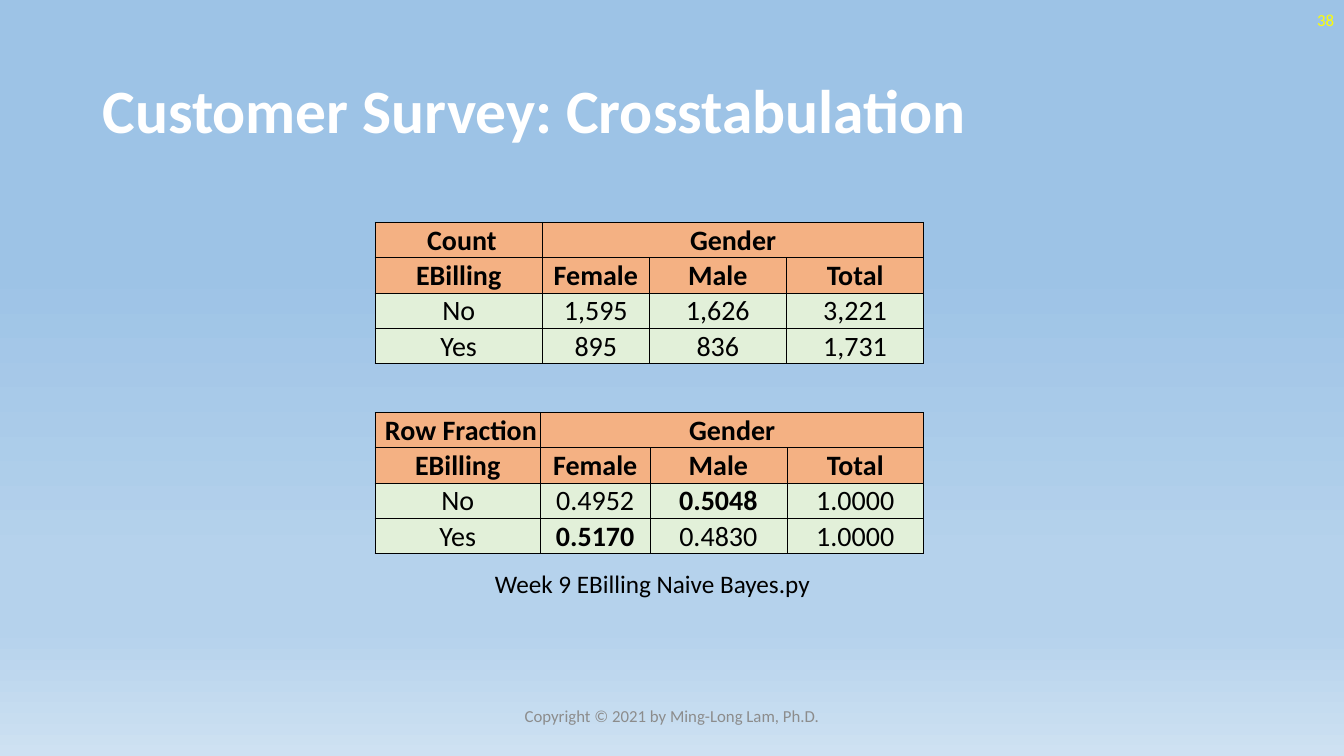
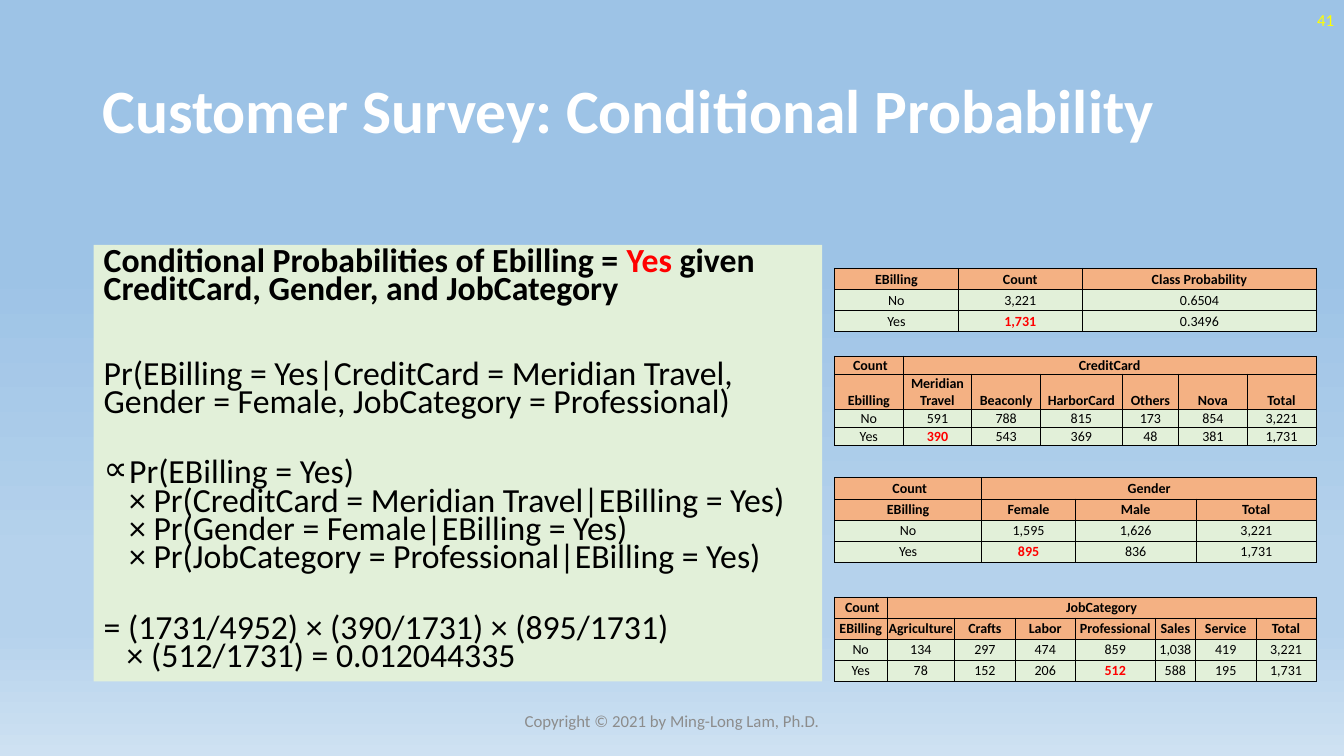
from lxml.etree import SubElement
from pptx import Presentation
from pptx.dml.color import RGBColor
from pptx.enum.text import MSO_ANCHOR, MSO_AUTO_SIZE, PP_ALIGN
from pptx.oxml import parse_xml
from pptx.oxml.ns import nsdecls, qn
from pptx.util import Cm, Pt

COLORS = {
    "title": "FFFFFF",
    "text": "000000",
    "accent": "FF0000",
    "number": "FFFF00",
    "footer": "8C8C8C",
    "header": "F4B183",
    "panel": "E2F0D9",
    "border": "000000",
}
BACKGROUND_STOPS = [(35, "9DC3E6"), (74, "B5D2EC"), (83, "B5D2EC"), (100, "CEE1F2")]
FONT = "Calibri"
COPYRIGHT = "Copyright © 2021 by Ming-Long Lam, Ph.D."
TITLE_ONLY, TITLE_AND_CONTENT = 5, 1
BODY_SIZE = 24.1

GENDER_COUNTS = [
    ["Count", "Gender"],
    ["EBilling", "Female", "Male", "Total"],
    ["No", "1,595", "1,626", "3,221"],
    ["Yes", "895", "836", "1,731"],
]
GENDER_FRACTIONS = [
    ["Row Fraction", "Gender"],
    ["EBilling", "Female", "Male", "Total"],
    ["No", "0.4952", "0.5048", "1.0000"],
    ["Yes", "0.5170", "0.4830", "1.0000"],
]
CLASS_PROBABILITIES = [
    ["EBilling", "Count", "Class Probability"],
    ["No", "3,221", "0.6504"],
    ["Yes", "1,731", "0.3496"],
]
CARD_COUNTS = [
    ["Count", "CreditCard"],
    ["Ebilling", "Meridian Travel", "Beaconly", "HarborCard", "Others", "Nova", "Total"],
    ["No", "591", "788", "815", "173", "854", "3,221"],
    ["Yes", "390", "543", "369", "48", "381", "1,731"],
]
JOB_COUNTS = [
    ["Count", "JobCategory"],
    ["EBilling", "Agriculture", "Crafts", "Labor", "Professional", "Sales", "Service", "Total"],
    ["No", "134", "297", "474", "859", "1,038", "419", "3,221"],
    ["Yes", "78", "152", "206", "512", "588", "195", "1,731"],
]


def rgb(name):
    return RGBColor.from_string(COLORS[name])


def set_background(master):
    fill = master.background.fill
    fill.gradient()
    fill.gradient_angle = 270
    stop_list = next(master.element.iter(qn("a:gsLst")))
    for stop in list(stop_list):
        stop_list.remove(stop)
    for position, color in BACKGROUND_STOPS:
        stop = SubElement(stop_list, qn("a:gs"), pos=str(position * 1000))
        SubElement(stop, qn("a:srgbClr"), val=color)


def add_span(para, text, size, color="text", bold=False):
    span = para.add_run()
    span.text = text
    span.font.name = FONT
    span.font.size = Pt(size)
    span.font.bold = bold
    span.font.color.rgb = rgb(color)


def place(box, left, top, width, height):
    box.left, box.top, box.width, box.height = (Cm(n) for n in (left, top, width, height))


def add_label(page, text, area, size, color, align, wrap=True):
    box = page.shapes.add_textbox(*(Cm(n) for n in area))
    frame = box.text_frame
    frame.word_wrap = wrap
    frame.vertical_anchor = MSO_ANCHOR.MIDDLE
    para = frame.paragraphs[0]
    para.alignment = align
    add_span(para, text, size, color)


def add_page(deck, layout, title, number, footer_top):
    page = deck.slides.add_slide(deck.slide_layouts[layout])
    box = page.shapes.title
    place(box, 2.33, 1.01, 29.21, 3.68)
    frame = box.text_frame
    frame.auto_size = MSO_AUTO_SIZE.NONE
    frame.vertical_anchor = MSO_ANCHOR.MIDDLE
    para = frame.paragraphs[0]
    para.alignment = PP_ALIGN.LEFT
    para.line_spacing = 0.9
    add_span(para, title, 44, "title", bold=True)
    add_label(page, number, (26.25, 0, 7.62, 1.01), 12, "number", PP_ALIGN.RIGHT)
    add_label(page, COPYRIGHT, (11.22, footer_top, 11.43, 1.01), 12, "footer", PP_ALIGN.CENTER)
    return page


def style_cell(cell, fill, anchor):
    cell.margin_left = cell.margin_right = cell.margin_top = Cm(0.03)
    cell.margin_bottom = 0
    cell.vertical_anchor = anchor
    cell.fill.solid()
    cell.fill.fore_color.rgb = rgb(fill)
    properties = cell._tc.get_or_add_tcPr()
    for index, side in enumerate("LRTB"):
        properties.insert(index, parse_xml(
            f'<a:ln{side} {nsdecls("a")} w="{Pt(0.5)}"><a:solidFill>'
            f'<a:srgbClr val="{COLORS["border"]}"/></a:solidFill></a:ln{side}>'))


def add_crosstab(page, rows, left, top, widths, heights, size, marked,
                 mark_color="accent", anchor=MSO_ANCHOR.MIDDLE):
    """Draw a table; a short first row is a group heading that spans the other columns."""
    grouped = len(rows[0]) < len(widths)
    header_count = 2 if grouped else 1
    table = page.shapes.add_table(len(rows), len(widths), Cm(left), Cm(top),
                                  Cm(sum(widths)), Cm(sum(heights))).table
    table.first_row = table.horz_banding = False
    for column, width in zip(table.columns, widths):
        column.width = Cm(width)
    for row, height in zip(table.rows, heights):
        row.height = Cm(height)
    for row_index, row in enumerate(rows):
        is_header = row_index < header_count
        for column_index in range(len(widths)):
            cell = table.cell(row_index, column_index)
            style_cell(cell, "header" if is_header else "panel", anchor)
            if column_index >= len(row):
                continue
            is_marked = (row_index, column_index) in marked
            para = cell.text_frame.paragraphs[0]
            para.alignment = PP_ALIGN.CENTER
            add_span(para, row[column_index], size,
                     mark_color if is_marked else "text", is_header or is_marked)
    if grouped:
        table.cell(0, 0).margin_left = Cm(0.03) + Pt(size * 0.23)
        table.cell(0, 1).merge(table.cell(0, len(widths) - 1))


def add_body_paragraph(frame, before=0, left=0, first=0, bullet=None):
    """Add a paragraph; left is its indent and first the offset of its first line."""
    para = frame.paragraphs[0]
    if para.runs:
        para = frame.add_paragraph()
    properties = para._p.get_or_add_pPr()
    properties.set("marL", str(Cm(left)))
    properties.set("indent", str(Cm(first)))
    if bullet:
        SubElement(properties, qn("a:buFont"), typeface=FONT)
        SubElement(properties, qn("a:buChar"), char=bullet)
    else:
        SubElement(properties, qn("a:buNone"))
    para.alignment = PP_ALIGN.LEFT
    para.line_spacing = 0.7
    para.space_before = Pt(before)
    para.space_after = Pt(0)
    return para


def fill_derivation(box):
    place(box, 2.36, 6.17, 18.36, 11)
    box.fill.solid()
    box.fill.fore_color.rgb = rgb("panel")
    frame = box.text_frame
    frame.auto_size = MSO_AUTO_SIZE.NONE
    frame.vertical_anchor = MSO_ANCHOR.TOP
    heading = add_body_paragraph(frame)
    for text, color in [
        ("Conditional Probabilities of Ebilling = ", "text"),
        ("Yes", "accent"),
        (" given CreditCard, Gender, and JobCategory", "text"),
    ]:
        add_span(heading, text, BODY_SIZE, color, bold=True)
    factor = {"left": 0.64}
    for text, layout in [
        ("Pr(EBilling = Yes|CreditCard = Meridian Travel, "
         "Gender = Female, JobCategory = Professional)", {"before": 40}),
        ("Pr(EBilling = Yes)", {"before": 30, "left": 0.64, "first": -0.64, "bullet": "∝"}),
        ("× Pr(CreditCard = Meridian Travel|EBilling = Yes)", factor),
        ("× Pr(Gender = Female|EBilling = Yes)", factor),
        ("× Pr(JobCategory = Professional|EBilling = Yes)", factor),
        ("= (1731/4952) × (390/1731) × (895/1731)", {"before": 30}),
        ("× (512/1731) = 0.012044335", {"left": 0.58}),
    ]:
        add_span(add_body_paragraph(frame, **layout), text, BODY_SIZE)


def build_crosstabulation(deck):
    page = add_page(deck, TITLE_ONLY, "Customer Survey: Crosstabulation", "38", 17.53)
    heights = [0.89] * 4
    add_crosstab(page, GENDER_COUNTS, 9.45, 5.6, [4.22, 2.69, 3.46, 3.46], heights, 20, set())
    add_crosstab(page, GENDER_FRACTIONS, 9.45, 10.39, [4.17, 2.76, 3.45, 3.45], heights, 20,
                 {(2, 2), (3, 1)}, mark_color="text")
    add_label(page, "Week 9 EBilling Naive Bayes.py", (12.22, 14.2, 8.53, 1.01), 18,
              "text", PP_ALIGN.LEFT, wrap=False)


def build_conditional_probability(deck):
    page = add_page(deck, TITLE_AND_CONTENT, "Customer Survey: Conditional Probability",
                    "41", 17.65)
    fill_derivation(page.placeholders[1])
    left, size, height = 21.03, 10, 0.53
    add_crosstab(page, CLASS_PROBABILITIES, left, 6.76, [3.12, 3.12, 5.91],
                 [height] * 3, size, {(2, 1)})
    add_crosstab(page, CARD_COUNTS, left, 8.97, [1.73, 1.73, 1.73, 2.06, 1.42, 1.73, 1.73],
                 [0.45, 0.88, 0.45, 0.45], size, {(3, 1)}, anchor=MSO_ANCHOR.BOTTOM)
    add_crosstab(page, GENDER_COUNTS, left, 12.04, [3.71, 2.36, 3.04, 3.04],
                 [height] * 4, size, {(3, 1)})
    add_crosstab(page, JOB_COUNTS, left, 15.04,
                 [1.32, 1.71, 1.52, 1.52, 2.01, 1.02, 1.52, 1.52],
                 [height] * 4, size, {(3, 4)})


def main():
    deck = Presentation()
    deck.slide_width, deck.slide_height = Cm(33.87), Cm(19.05)
    set_background(deck.slide_master)
    build_crosstabulation(deck)
    build_conditional_probability(deck)
    deck.save("out.pptx")


if __name__ == "__main__":
    main()
